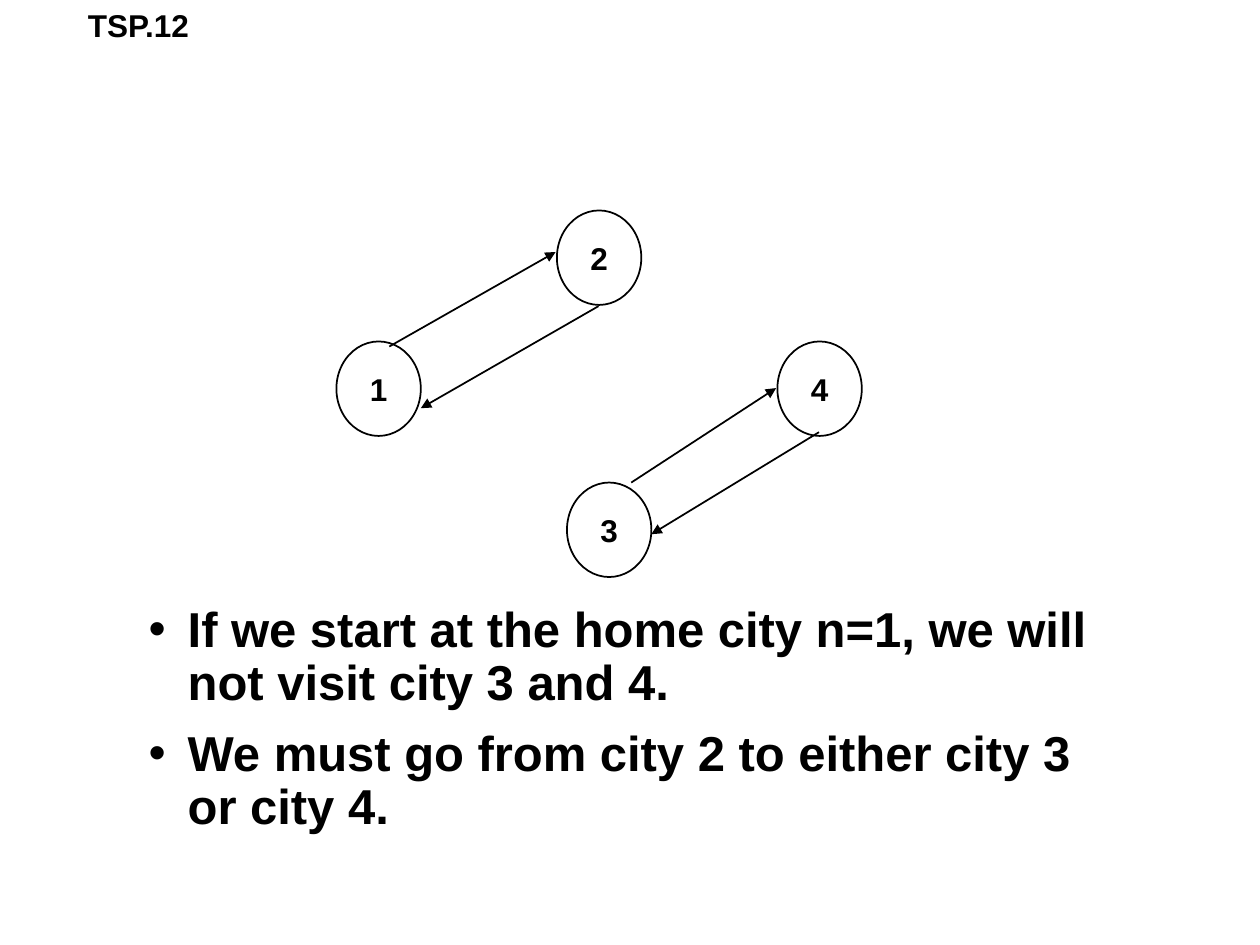
from lxml.etree import SubElement
from pptx import Presentation
from pptx.dml.color import RGBColor
from pptx.enum.shapes import MSO_CONNECTOR, MSO_SHAPE
from pptx.enum.text import MSO_ANCHOR, MSO_AUTO_SIZE, PP_ALIGN
from pptx.oxml.ns import qn
from pptx.util import Inches, Pt

BLACK, WHITE = "000000", "FFFFFF"


def rgb(color):
    return RGBColor.from_string(color)


def style(p, size):
    p.font.name = "Arial"
    p.font.size = Pt(size)
    p.font.bold = True
    p.font.color.rgb = rgb(BLACK)


prs = Presentation()
prs.slide_width, prs.slide_height = Inches(10), Inches(7.5)
s = prs.slides.add_slide(prs.slide_layouts[1])
title = s.shapes.title.element
title.getparent().remove(title)

label = s.shapes.add_textbox(Inches(0.6), Inches(0), Inches(1.96), Inches(0.4))
label.text_frame.word_wrap = False
p = label.text_frame.paragraphs[0]
p.text = "TSP.12"
p.alignment = PP_ALIGN.LEFT
style(p, 18)

body = s.placeholders[1]
body.left, body.top = Inches(1.08), Inches(4.75)
body.width, body.height = Inches(7.83), Inches(2.33)
tf = body.text_frame
tf.auto_size = MSO_AUTO_SIZE.NONE
tf.text = (
    "If we start at the home city n=1, we will not visit city 3 and 4.\n"
    "We must go from city 2 to either city 3 or city 4."
)
for p in tf.paragraphs:
    style(p, 28)
    p.line_spacing = 0.9
    p.space_before = Pt(10.5)
    pPr = p._p.get_or_add_pPr()
    pPr.set("marL", str(Inches(0.31)))
    pPr.set("indent", str(-Inches(0.31)))

cities = {"1": (2.67, 2.71), "2": (4.42, 1.67), "3": (4.5, 3.83), "4": (6.17, 2.71)}
for city, (x, y) in cities.items():
    sp = s.shapes.add_shape(MSO_SHAPE.OVAL, Inches(x), Inches(y), Inches(0.67), Inches(0.75))
    sp.shadow.inherit = False
    sp.fill.solid()
    sp.fill.fore_color.rgb = rgb(WHITE)
    sp.line.color.rgb = rgb(BLACK)
    sp.line.width = Pt(1)
    tf = sp.text_frame
    tf.word_wrap = False
    tf.vertical_anchor = MSO_ANCHOR.MIDDLE
    p = tf.paragraphs[0]
    p.text = city
    p.alignment = PP_ALIGN.CENTER
    style(p, 18)

trips = [
    (4.75, 2.43, 3.34, 3.24),
    (3.09, 2.75, 4.41, 2),
    (5.01, 3.83, 6.16, 3.08),
    (6.5, 3.43, 5.17, 4.24),
]
for trip in trips:
    arrow = s.shapes.add_connector(MSO_CONNECTOR.STRAIGHT, *map(Inches, trip))
    arrow.line.color.rgb = rgb(BLACK)
    arrow.line.width = Pt(1)
    SubElement(arrow.line._get_or_add_ln(), qn("a:tailEnd"), type="triangle")
    SubElement(arrow.element.spPr, qn("a:effectLst"))

prs.save("out.pptx")
